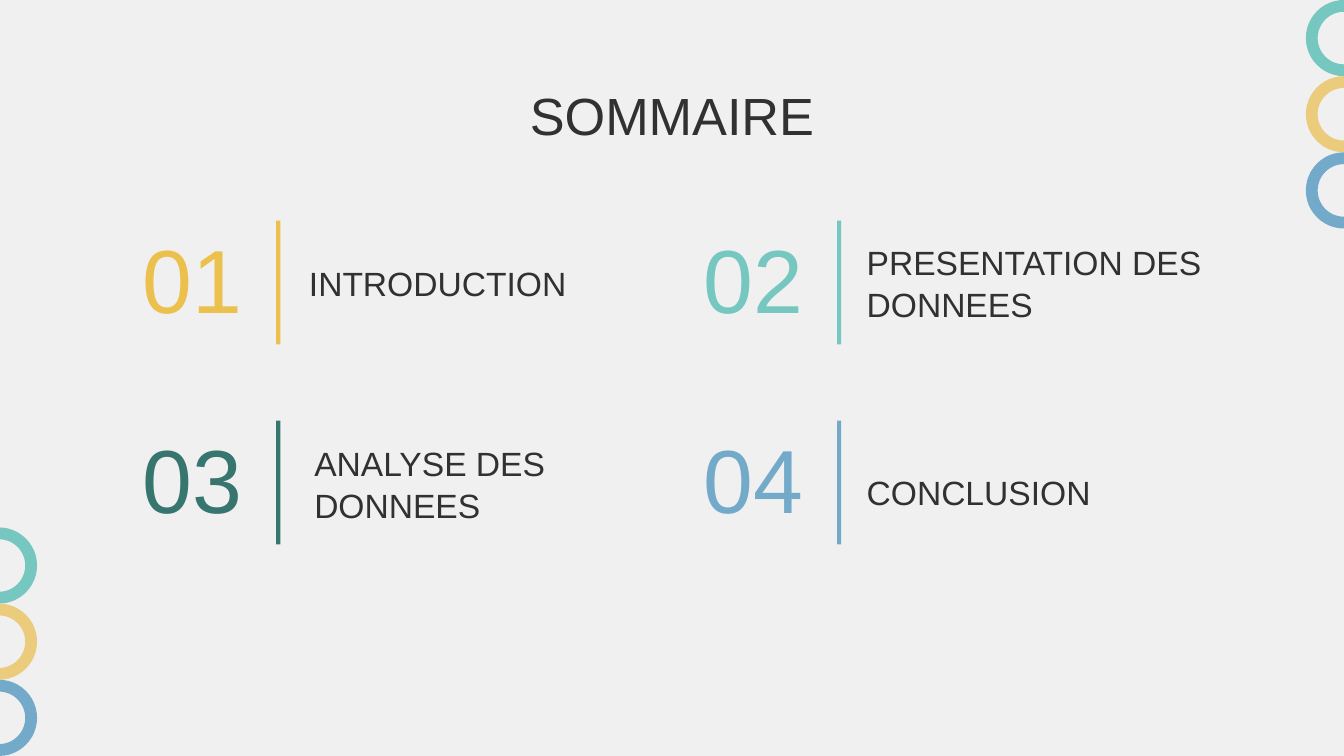
import pptx
import pptx.dml.color
import pptx.enum.shapes
import pptx.enum.text
import pptx.util
from dataclasses import dataclass

Cm = pptx.util.Cm
Shape = pptx.enum.shapes.MSO_SHAPE
Align = pptx.enum.text.PP_ALIGN
Anchor = pptx.enum.text.MSO_ANCHOR


@dataclass(frozen=True)
class Theme:
    font: str = "Arial"
    back: str = "F0F0F0"
    ink: str = "313131"
    gold: str = "EBC04C"
    sand: str = "EBCC7D"
    mint: str = "75C7BF"
    pine: str = "37756F"
    sky: str = "73A9C9"
    title: int = 28
    number: int = 48
    label: int = 18


THEME = Theme()
WIDE, HIGH = 25.4, 14.29
RING = 1.44
LEFT, TOP = 2.26, 4.17
STEP_X, STEP_Y = 10.6, 3.78
NUM_W, ROW_H = 2.57, 2.34

# Number, colour, label text, and label box as left, top, width, height in cm
ITEMS = [
    ("01", THEME.gold, "INTRODUCTION", (5.59, 4.47, 7.01, 1.73)),
    ("02", THEME.mint, "PRESENTATION DES DONNEES", (16.13, 4.47, 7.01, 1.73)),
    ("03", THEME.pine, "ANALYSE DES DONNEES", (5.69, 8.15, 7.37, 1.96)),
    ("04", THEME.sky, "CONCLUSION", (16.13, 8.31, 7.01, 1.96)),
]


def paint(fill, color):
    fill.solid()
    fill.fore_color.rgb = pptx.dml.color.RGBColor.from_string(color)


def add_solid(slide, kind, box, color):
    """Add a filled shape with no outline or shadow."""
    shape = slide.shapes.add_shape(kind, *map(Cm, box))
    shape.shadow.inherit = False
    shape.line.fill.background()
    paint(shape.fill, color)
    return shape


def add_text(slide, text, box, size, color, align=Align.LEFT,
             anchor=Anchor.MIDDLE, pitch=1.0):
    frame = slide.shapes.add_textbox(*map(Cm, box)).text_frame
    frame.word_wrap = True
    frame.vertical_anchor = anchor
    frame.margin_left = frame.margin_right = Cm(0.25)
    frame.margin_top = frame.margin_bottom = Cm(0.25)
    para = frame.paragraphs[0]
    para.text = text
    para.alignment = align
    para.line_spacing = pitch
    para.font.name = THEME.font
    para.font.size = pptx.util.Pt(size)
    para.font.color.rgb = pptx.dml.color.RGBColor.from_string(color)


def add_rings(slide, mid, top):
    """Stack three rings centred on the x position mid."""
    for row, color in enumerate((THEME.mint, THEME.sand, THEME.sky)):
        box = (mid - RING / 2, top + row * RING, RING, RING)
        ring = add_solid(slide, Shape.DONUT, box, color)
        ring.adjustments[0] = 0.155


def add_item(slide, index, number, color, text, box):
    row, col = divmod(index, 2)
    x, y = LEFT + col * STEP_X, TOP + row * STEP_Y
    add_text(slide, number, (x, y, NUM_W, ROW_H), THEME.number, color,
             Align.RIGHT, Anchor.BOTTOM)
    add_solid(slide, Shape.RECTANGLE, (x + 2.96, y, 0.08, ROW_H), color)
    add_text(slide, text, box, THEME.label, THEME.ink, pitch=1.05)


def main():
    deck = pptx.Presentation()
    deck.slide_width, deck.slide_height = Cm(WIDE), Cm(HIGH)
    slide = deck.slides.add_slide(deck.slide_layouts[6])
    paint(slide.background.fill, THEME.back)
    add_rings(slide, WIDE, 0)
    add_rings(slide, -0.02, HIGH - 3 * RING)
    add_text(slide, "SOMMAIRE", (2, 1.65, 21.4, 1.02), THEME.title,
             THEME.ink, Align.CENTER)
    for index, item in enumerate(ITEMS):
        add_item(slide, index, *item)
    deck.save("out.pptx")


if __name__ == "__main__":
    main()
